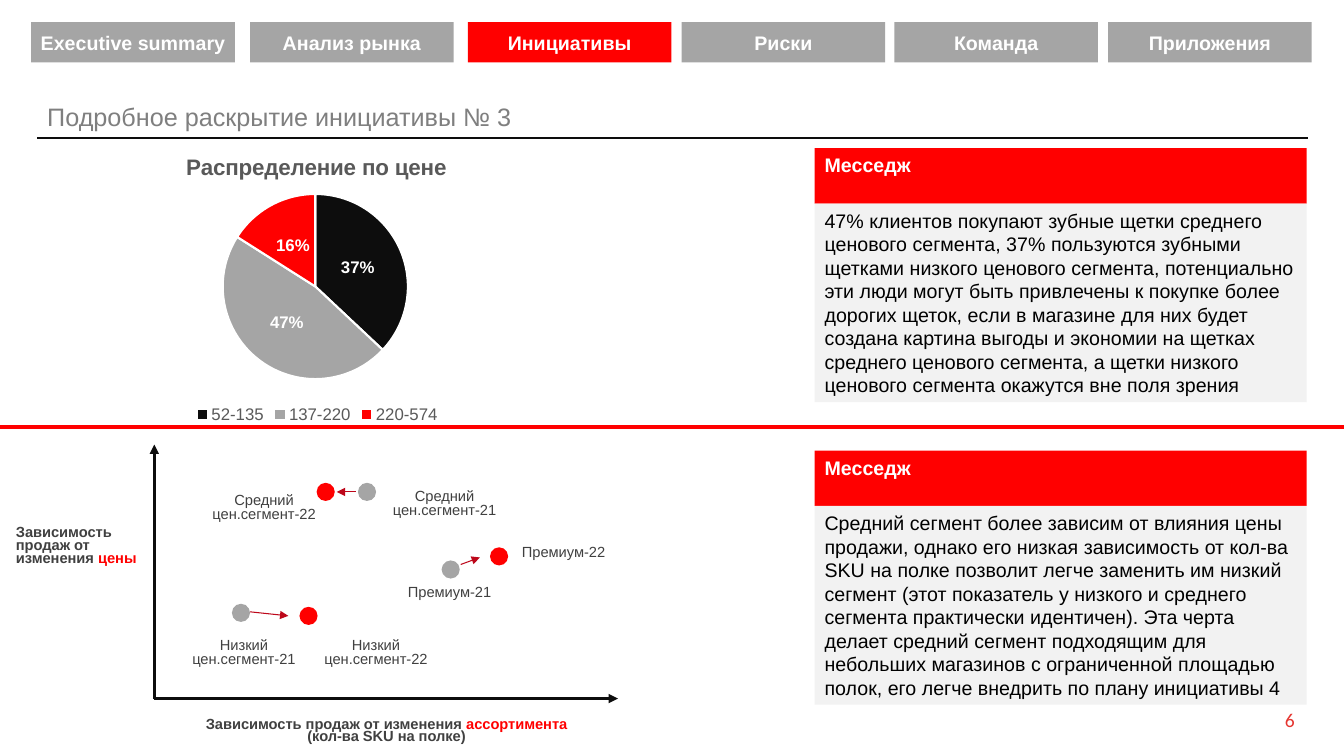
from lxml import etree
from pptx import Presentation
from pptx.chart.data import CategoryChartData
from pptx.dml.color import RGBColor
from pptx.enum.chart import XL_CHART_TYPE, XL_LABEL_POSITION, XL_LEGEND_POSITION
from pptx.enum.shapes import MSO_CONNECTOR, MSO_SHAPE
from pptx.enum.text import MSO_ANCHOR, PP_ALIGN
from pptx.oxml.ns import qn
from pptx.util import Inches, Pt

RECT, OVAL = MSO_SHAPE.RECTANGLE, MSO_SHAPE.OVAL
LEFT, CENTER, RIGHT = PP_ALIGN.LEFT, PP_ALIGN.CENTER, PP_ALIGN.RIGHT
TOP, MIDDLE, BOTTOM = MSO_ANCHOR.TOP, MSO_ANCHOR.MIDDLE, MSO_ANCHOR.BOTTOM

COLORS = {
    "red": "FF0000", "gray": "A5A5A5", "black": "0D0D0D", "white": "FFFFFF",
    "panel": "F2F2F2", "body": "000000", "title": "7F7F7F", "label": "404040",
    "chart": "595959", "shift": "BD071A", "page": "E53530",
}
DOT = 0.18

NAV_ITEMS = [
    (0.31, "Executive summary"), (2.48, "Анализ рынка"), (4.64, "Инициативы"),
    (6.76, "Риски"), (8.87, "Команда"), (10.99, "Приложения"),
]
ACTIVE_ITEM = "Инициативы"

PRICE_SHARES = [("52-135", 37, "black"), ("137-220", 47, "gray"), ("220-574", 16, "red")]

MESSAGES = [
    (1.47, "47% клиентов покупают зубные щетки среднего ценового сегмента, 37% пользуются "
           "зубными щетками низкого ценового сегмента, потенциально эти люди могут быть "
           "привлечены к покупке более дорогих щеток, если в магазине для них будет создана "
           "картина выгоды и экономии на щетках среднего ценового сегмента, а щетки низкого "
           "ценового сегмента окажутся вне поля зрения"),
    (4.47, "Средний сегмент более зависим от влияния цены продажи, однако его низкая "
           "зависимость от кол-ва SKU на полке позволит легче заменить им низкий сегмент "
           "(этот показатель у низкого и среднего сегмента практически идентичен). Эта черта "
           "делает средний сегмент подходящим для небольших магазинов с ограниченной площадью "
           "полок, его легче внедрить по плану инициативы 4"),
]

# Segment: dot in year 21, dot in year 22, arrow start, arrow end
SEGMENT_SHIFTS = [
    ((2.3, 5.99), (2.97, 6.02), (2.48, 6.07), (2.86, 6.11)),
    ((3.55, 4.79), (3.14, 4.79), (3.53, 4.88), (3.34, 4.88)),
    ((4.38, 5.56), (4.86, 5.43), (4.57, 5.6), (4.76, 5.53)),
]
# Label: centre, top, text
SEGMENT_LABELS = [
    (2.62, 4.86, "Средний\nцен.сегмент-22"), (4.41, 4.82, "Средний\nцен.сегмент-21"),
    (5.59, 5.37, "Премиум-22"), (4.46, 5.77, "Премиум-21"),
    (3.73, 6.29, "Низкий\nцен.сегмент-22"), (2.42, 6.29, "Низкий\nцен.сегмент-21"),
]


def rgb(color):
    return RGBColor.from_string(COLORS[color])


def style_font(font, size, color, bold=False, face="Arial"):
    font.name, font.size, font.bold = face, Pt(size), bold
    font.color.rgb = rgb(color)


def write(frame, runs, size, bold=False, align=LEFT, anchor=TOP, spacing=None,
          wrap=True, face="Arial"):
    """Fill one paragraph with (text, color) runs; a newline becomes a line break."""
    frame.word_wrap = wrap
    frame.vertical_anchor = anchor
    paragraph = frame.paragraphs[0]
    paragraph.alignment = align
    paragraph.line_spacing = spacing
    for text, color in runs:
        for index, line in enumerate(text.split("\n")):
            if index:
                paragraph.add_line_break()
            if line:
                run = paragraph.add_run()
                run.text = line
                style_font(run.font, size, color, bold, face)


def add_text(slide, box, runs, size, **options):
    textbox = slide.shapes.add_textbox(*map(Inches, box))
    write(textbox.text_frame, runs, size, **options)


def add_block(slide, preset, box, color):
    block = slide.shapes.add_shape(preset, *map(Inches, box))
    block.shadow.inherit = False
    block.fill.solid()
    block.fill.fore_color.rgb = rgb(color)
    block.line.fill.background()
    return block


def add_line(slide, start, end, color, width, arrow=False):
    line = slide.shapes.add_connector(MSO_CONNECTOR.STRAIGHT, *map(Inches, start + end))
    line.line.color.rgb = rgb(color)
    line.line.width = Pt(width)
    if arrow:
        etree.SubElement(line.line._get_or_add_ln(), qn("a:tailEnd"), type="triangle")
    etree.SubElement(line._element.spPr, qn("a:effectLst"))


def add_nav_button(slide, left, caption):
    color = "red" if caption == ACTIVE_ITEM else "gray"
    button = add_block(slide, RECT, (left, 0.22, 2.02, 0.4), color)
    button.text_frame.margin_left = button.text_frame.margin_right = 0
    write(button.text_frame, [(caption, "white")], 14, bold=True, align=CENTER, anchor=MIDDLE)


def add_message(slide, top, message):
    header = add_block(slide, RECT, (8.08, top, 4.88, 0.55), "red")
    write(header.text_frame, [("Месседж", "white")], 14, bold=True)
    body = add_block(slide, RECT, (8.08, top + 0.55, 4.88, 1.97), "panel")
    write(body.text_frame, [(message, "body")], 14)


def manual_layout(**fractions):
    """Chart layout element; fractions are x, y and optionally w, h of the chart."""
    layout = etree.Element(qn("c:layout"))
    manual = etree.SubElement(layout, qn("c:manualLayout"))
    if "w" in fractions:
        etree.SubElement(manual, qn("c:layoutTarget"), val="inner")
    for axis in ("x", "y"):
        etree.SubElement(manual, qn(f"c:{axis}Mode"), val="edge")
    for key, value in fractions.items():
        etree.SubElement(manual, qn(f"c:{key}"), val=str(value))
    return layout


def add_price_pie(slide):
    data = CategoryChartData()
    data.categories = [name for name, _, _ in PRICE_SHARES]
    data.add_series("Series 1", [share for _, share, _ in PRICE_SHARES])
    chart = slide.shapes.add_chart(
        XL_CHART_TYPE.PIE, *map(Inches, (0.91, 1.3, 4.48, 2.94)), data).chart
    style_font(chart.font, 10, "body")

    write(chart.chart_title.text_frame, [("Распределение по цене", "chart")], 16,
          bold=True, align=CENTER)
    title = chart.chart_title._element
    plot_area = chart._chartSpace.chart.plotArea
    for parent in (title, plot_area):
        for layout in parent.findall(qn("c:layout")):
            parent.remove(layout)
    title.find(qn("c:tx")).addnext(manual_layout(x=0.2, y=0.06))
    plot_area.insert(0, manual_layout(x=0.29, y=0.21, w=0.41, h=0.63))

    chart.has_legend = True
    chart.legend.position = XL_LEGEND_POSITION.BOTTOM
    chart.legend.include_in_layout = False
    style_font(chart.legend.font, 12, "chart")

    pie = chart.plots[0]
    pie.vary_by_categories = True
    for index, (_, _, color) in enumerate(PRICE_SHARES):
        slice_format = pie.series[0].points[index].format
        slice_format.fill.solid()
        slice_format.fill.fore_color.rgb = rgb(color)
        slice_format.line.color.rgb = rgb("white")
        slice_format.line.width = Pt(1.5)
    labels = pie.series[0].data_labels
    labels.show_percentage, labels.show_value = True, False
    labels.number_format, labels.number_format_is_linked = "0%", False
    labels.position = XL_LABEL_POSITION.CENTER
    style_font(labels.font, 12, "white", bold=True)


def add_segment_map(slide):
    origin = (1.53, 6.93)
    for axis_end in ((1.53, 4.41), (6.13, 6.93)):
        add_line(slide, origin, axis_end, "black", 2.25, arrow=True)
    add_text(slide, (0.06, 5.19, 1.43, 0.48),
             [("Зависимость\nпродаж от\nизменения ", "label"), ("цены", "red")],
             10.5, bold=True, spacing=Pt(9), wrap=False)
    add_text(slide, (1.9, 7.09, 3.87, 0.36),
             [("Зависимость продаж от изменения ", "label"), ("ассортимента\n", "red"),
              ("(кол-ва SKU на полке)", "label")],
             10.5, bold=True, align=CENTER, spacing=Pt(9), wrap=False)
    for before, after, start, end in SEGMENT_SHIFTS:
        add_block(slide, OVAL, before + (DOT, DOT), "gray")
        add_block(slide, OVAL, after + (DOT, DOT), "red")
        add_line(slide, start, end, "shift", 0.75, arrow=True)
    for center, top, caption in SEGMENT_LABELS:
        height = 0.38 if "\n" in caption else 0.24
        add_text(slide, (center - 0.65, top, 1.3, height), [(caption, "label")],
                 10.5, align=CENTER, spacing=Pt(10), wrap=False)


def main():
    deck = Presentation()
    deck.slide_width, deck.slide_height = Inches(13.33), Inches(7.5)
    slide = deck.slides.add_slide(deck.slide_layouts[6])

    add_line(slide, (0.37, 1.37), (12.97, 1.37), "black", 2)
    add_text(slide, (0.37, 0.63, 12.6, 0.73), [("Подробное раскрытие инициативы № 3", "title")],
             18, anchor=BOTTOM, spacing=0.9)
    for top, message in MESSAGES:
        add_message(slide, top, message)
    add_text(slide, (12.28, 6.98, 0.66, 0.31), [("6", "page")], 14,
             align=RIGHT, anchor=MIDDLE, face="Calibri")
    for left, caption in NAV_ITEMS:
        add_nav_button(slide, left, caption)
    add_price_pie(slide)
    add_segment_map(slide)
    add_line(slide, (0, 4.24), (13.33, 4.24), "red", 3)

    deck.save("out.pptx")


if __name__ == "__main__":
    main()
